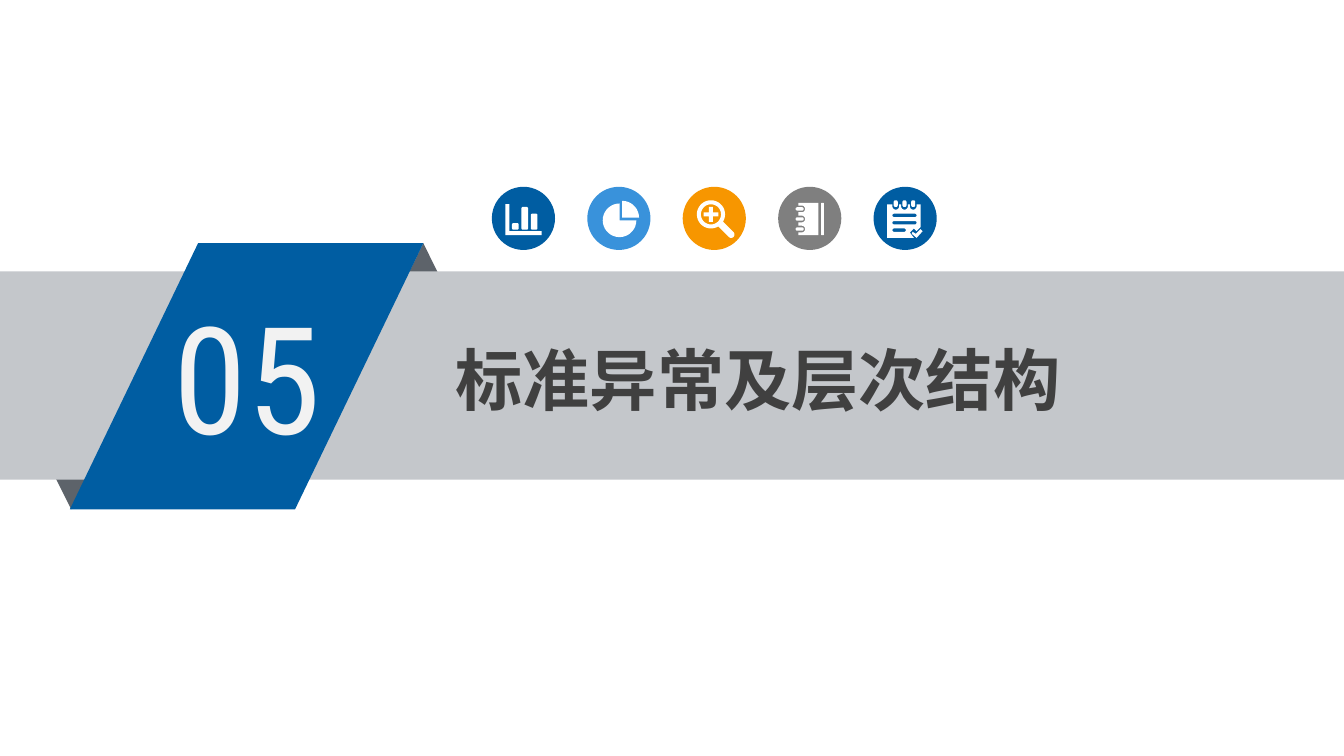
from math import cos, radians, sin

from pptx import Presentation
from pptx.dml.color import RGBColor
from pptx.enum.shapes import MSO_SHAPE
from pptx.enum.text import MSO_ANCHOR, PP_ALIGN
from pptx.oxml.ns import qn
from pptx.util import Inches, Pt

RECT, OVAL = MSO_SHAPE.RECTANGLE, MSO_SHAPE.OVAL
TRIANGLE, SLANT = MSO_SHAPE.ISOSCELES_TRIANGLE, MSO_SHAPE.PARALLELOGRAM
LEFT, CENTER, TOP = PP_ALIGN.LEFT, PP_ALIGN.CENTER, MSO_ANCHOR.TOP

BLUE, SKY, ORANGE, GRAY = "005DA2", "3992DB", "F79600", "7F7F7F"
BAND, FOLD, WHITE = "C4C7CB", "5D636A", "FFFFFF"
BADGE = 47  # badge diameter in grid units


def rgb(hex_color):
    return RGBColor.from_string(hex_color)


def write(tf, text, font, size, color, bold=False, align=LEFT):
    p = tf.paragraphs[0]
    p.alignment = align
    r = p.add_run()
    r.text = text
    r.font.name, r.font.size, r.font.bold = font, Pt(size), bold
    r.font.color.rgb = rgb(color)
    ea = r.font._element.makeelement(qn("a:ea"), {"typeface": font})
    r.font._element.find(qn("a:latin")).addnext(ea)


class Deck:
    """Draws on a grid of 1000 columns, with square cells."""

    def __init__(self, prs):
        self.cell = prs.slide_width / 1000
        self.slide = prs.slides.add_slide(prs.slide_layouts[6])
        self.start()

    def start(self, x=0, y=0, group=False):
        """Choose the container and the origin for the next elements."""
        self.x, self.y = x, y
        shapes = self.slide.shapes
        self.shapes = shapes.add_group_shape().shapes if group else shapes

    def at(self, x, y):
        return round((self.x + x) * self.cell), round((self.y + y) * self.cell)

    def box(self, x, y, w, h):
        return *self.at(x, y), round(w * self.cell), round(h * self.cell)

    def paint(self, s, color):
        s.shadow.inherit = False
        s.fill.solid()
        s.fill.fore_color.rgb = rgb(color)
        s.line.fill.background()

    def shape(self, kind, box, color, adj=None, flip=False):
        s = self.shapes.add_shape(kind, *self.box(*box))
        if adj is not None:
            s.adjustments[0] = adj
        if flip:
            s._element.spPr.find(qn("a:xfrm")).set("flipV", "1")
        self.paint(s, color)

    def outline(self, contours, color):
        """One freeform; a contour inside another cuts a hole."""
        first, *others = [[self.at(*pt) for pt in c] for c in contours]
        fb = self.shapes.build_freeform(*first[0])
        fb.add_line_segments(first[1:])
        for pts in others:
            fb.move_to(*pts[0])
            fb.add_line_segments(pts[1:])
        self.paint(fb.convert_to_shape(), color)

    def text(self, box, text, margin, **style):
        tf = self.shapes.add_textbox(*self.box(*box)).text_frame
        tf.word_wrap, tf.vertical_anchor = True, TOP
        tf.margin_left = tf.margin_right = Inches(margin)
        tf.margin_top = tf.margin_bottom = Inches(0.04)
        write(tf, text, **style)


# Contours, in units measured from the badge's top left corner
def arc(cx, cy, r, start, end):
    n = max(4, round(abs(end - start) / 10))
    angles = [radians(start + (end - start) * i / n) for i in range(n + 1)]
    return [(cx + r * cos(a), cy + r * sin(a)) for a in angles]


def rounded(x, y, w, h, r=1.25):
    centers = [(x + r, y + r), (x + w - r, y + r),
               (x + w - r, y + h - r), (x + r, y + h - r)]
    pts = [pt for i, (cx, cy) in enumerate(centers)
           for pt in arc(cx, cy, r, 180 + 90 * i, 270 + 90 * i)]
    return pts + pts[:1]


def closed(*pts):
    return [*pts, pts[0]]


def bar_icon():
    axes = closed((10, 13), (13, 13), (13, 33), (37, 33), (37, 36), (10, 36))
    bars = [rounded(15 + 7 * i, 32 - h, 5, h) for i, h in enumerate((5, 17, 12))]
    return [axes, *bars]


def pie_icon():
    return [closed((26, 23), *arc(26, 23, 12.5, -90, 0)),
            closed((24, 25), *arc(24, 25, 12.5, 0, 270))]


def zoom_icon():
    lens_and_handle = closed(*arc(21, 20.5, 10.5, 59, 391),
                             *arc(36, 35.5, 2.5, -45, 135))
    a, b = 1.5, 5.5
    plus = [(-a, -b), (a, -b), (a, -a), (b, -a), (b, a), (a, a),
            (a, b), (-a, b), (-a, a), (-b, a), (-b, -a), (-a, -a)]
    return [lens_and_handle, arc(21, 20.5, 7.5, 0, 360),
            closed(*[(21 + x, 20.5 + y) for x, y in plus])]


def notebook_icon():
    rings = (31.5, 24, 16.5)
    notches = [pt for y in rings
               for pt in ((15, y + 2.5), *arc(17.5, y, 2.5, 90, -90), (15, y - 2.5))]
    page = closed((15, 12), (30, 12), (30, 36), (15, 36), *notches)
    return [page, rounded(32, 12, 2, 24, 0.5),
            *[rounded(13, y - 1.25, 6, 2.5) for y in rings]]


def checklist_icon():
    rings = (16.5, 23, 29.5)
    notches = [pt for x in rings
               for pt in ((x - 2.5, 13), *arc(x, 14.5, 2.5, 180, 0), (x + 2.5, 13))]
    sheet = closed((10, 13), *notches, (35, 13), (35, 30), (32, 33),
                   (30, 31), (27, 34), (30, 38), (10, 38))
    check = closed((29, 33.5), (31.5, 35), (35, 31.5), (36.5, 33), (32, 38), (28.5, 35))
    lines = [rounded(14, 20 + 5.5 * i, w, 2.5) for i, w in enumerate((18, 18, 10))]
    return [sheet, check, *lines, *[rounded(x - 1.5, 10, 3, 5) for x in rings]]


def main():
    prs = Presentation()
    prs.slide_width = Inches(10)
    prs.slide_height = prs.slide_width * 9 // 16
    d = Deck(prs)

    # Ribbon with its folds and the section number
    d.start(group=True)
    d.shape(TRIANGLE, (270, 181, 90, 91), FOLD)
    d.shape(TRIANGLE, (8, 289, 90, 90), FOLD, flip=True)
    d.shape(RECT, (0, 202, 1000, 155), BAND)
    d.shape(SLANT, (52, 181, 263, 198), BLUE, adj=0.482)
    d.text((122, 208, 145, 142), "05", 0.07,
           font="Roboto Condensed", size=80, color="F2F2F2")

    # Section title
    d.start()
    d.text((292, 248, 544, 68), "标准异常及层次结构", 0.08,
           font="Noto Sans CJK SC", size=36, color="404040", bold=True, align=CENTER)

    # Row of icon badges
    badges = [(BLUE, bar_icon), (SKY, pie_icon), (ORANGE, zoom_icon),
              (GRAY, notebook_icon), (BLUE, checklist_icon)]
    for i, (color, icon) in enumerate(badges):
        d.start(366 + 71 * i, 139, group=True)
        d.shape(OVAL, (0, 0, BADGE, BADGE), color)
        d.outline(icon(), WHITE)

    prs.save("out.pptx")


if __name__ == "__main__":
    main()
